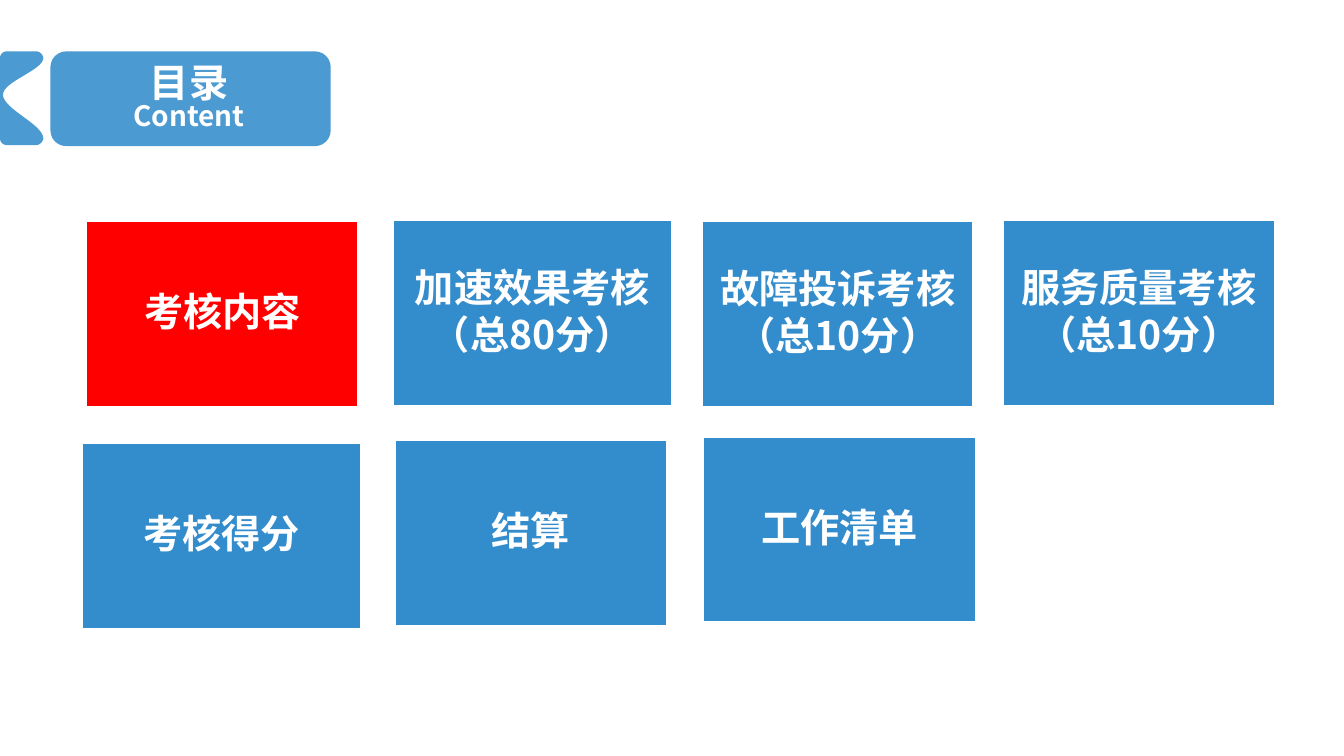
from lxml import etree
from pptx import Presentation
from pptx.dml.color import RGBColor
from pptx.enum import shapes, text
from pptx.oxml import ns
from pptx.util import Inches, Pt

FONT = "Noto Sans CJK SC"
WHITE, BLUE, RED = "FFFFFF", "0070C0", "FF0000"
CARD_HEIGHT = 1.85
CARDS = [
    (["考核内容"], 0.85, 2.19, 2.71, RED, 100),
    (["加速效果考核", "（总80分）"], 3.89, 2.18, 2.78, BLUE, 80),
    (["故障投诉考核", "（总10分）"], 6.96, 2.19, 2.7, BLUE, 80),
    (["服务质量考核", "（总10分）"], 9.94, 2.18, 2.71, BLUE, 80),
    (["考核得分"], 0.81, 4.39, 2.78, BLUE, 80),
    (["结算"], 3.91, 4.36, 2.71, BLUE, 80),
    (["工作清单"], 6.97, 4.33, 2.71, BLUE, 80),
]
TITLE = [("目录", 28), ("Content", 20)]
NOTCH_START = (0.07, 1.44)
NOTCH_CURVES = [
    [(0.03, 1.44), (0, 1.41), (0, 1.37)],
    [(0, 1.37), (0, 0.58), (0, 0.58)],
    [(0, 0.54), (0.03, 0.51), (0.07, 0.51)],
    [(0.07, 0.51), (0.36, 0.51), (0.36, 0.51)],
    [(0.39, 0.51), (0.43, 0.54), (0.43, 0.58)],
    [(0.42, 0.7), (0.03, 0.81), (0.03, 0.94)],
    [(0.03, 1.08), (0.42, 1.23), (0.43, 1.37)],
    [(0.43, 1.41), (0.39, 1.44), (0.36, 1.44)],
]
CURVE_STEPS = 16


def paint(shape, color, opacity):
    shape.shadow.inherit = False
    shape.fill.solid()
    shape.fill.fore_color.rgb = RGBColor.from_string(color)
    shape.line.fill.background()
    if opacity < 100:
        fill = shape.fill._xPr.find(ns.qn("a:solidFill"))
        alpha = etree.SubElement(fill[0], ns.qn("a:alpha"))
        alpha.set("val", str(opacity * 1000))


def write(paragraph, words, size, line_spacing, space_after=0):
    paragraph.text = words
    paragraph.alignment = text.PP_ALIGN.CENTER
    paragraph.line_spacing = line_spacing
    paragraph.space_after = Pt(space_after)
    font = paragraph.font
    font.name, font.size, font.bold = FONT, Pt(size), True
    font.color.rgb = RGBColor.from_string(WHITE)
    for run in paragraph.runs:
        east_asian = etree.SubElement(run._r.get_or_add_rPr(), ns.qn("a:ea"))
        east_asian.set("typeface", FONT)


def fill_frame(frame, lines, line_spacing, space_after=0):
    frame.word_wrap = True
    frame.vertical_anchor = text.MSO_ANCHOR.MIDDLE
    for index, (words, size) in enumerate(lines):
        paragraph = frame.add_paragraph() if index else frame.paragraphs[0]
        write(paragraph, words, size, line_spacing, space_after)


def curve_points(start, curves):
    for first, second, end in curves:
        for step in range(1, CURVE_STEPS + 1):
            t = step / CURVE_STEPS
            weights = ((1 - t) ** 3, 3 * t * (1 - t) ** 2, 3 * t * t * (1 - t), t ** 3)
            corners = (start, first, second, end)
            yield tuple(
                Inches(sum(w * corner[axis] for w, corner in zip(weights, corners)))
                for axis in (0, 1)
            )
        start = end


def add_card(slide, lines, left, top, width, color, opacity):
    card = slide.shapes.add_shape(
        shapes.MSO_SHAPE.RECTANGLE,
        Inches(left), Inches(top), Inches(width), Inches(CARD_HEIGHT),
    )
    paint(card, color, opacity)
    card.line.color.rgb = RGBColor.from_string(WHITE)
    card.line.width = Pt(2)
    frame = card.text_frame
    frame.margin_left = frame.margin_right = Inches(0.15)
    frame.margin_top = frame.margin_bottom = Inches(0.15)
    fill_frame(frame, [(line, 28) for line in lines], 0.9, 3.5)


def main():
    presentation = Presentation()
    presentation.slide_width = Inches(13.33)
    presentation.slide_height = Inches(7.5)
    slide = presentation.slides.add_slide(presentation.slide_layouts[6])

    banner = slide.shapes.add_shape(
        shapes.MSO_SHAPE.FLOWCHART_ALTERNATE_PROCESS,
        Inches(0.5), Inches(0.51), Inches(2.78), Inches(0.94),
    )
    paint(banner, BLUE, 70)

    builder = slide.shapes.build_freeform(*(Inches(v) for v in NOTCH_START))
    builder.add_line_segments(curve_points(NOTCH_START, NOTCH_CURVES), close=True)
    paint(builder.convert_to_shape(), BLUE, 70)

    title = slide.shapes.add_textbox(
        Inches(0.52), Inches(0.52), Inches(2.71), Inches(0.94)
    )
    fill_frame(title.text_frame, TITLE, 0.8)

    for card in CARDS:
        add_card(slide, *card)

    presentation.save("out.pptx")


if __name__ == "__main__":
    main()
